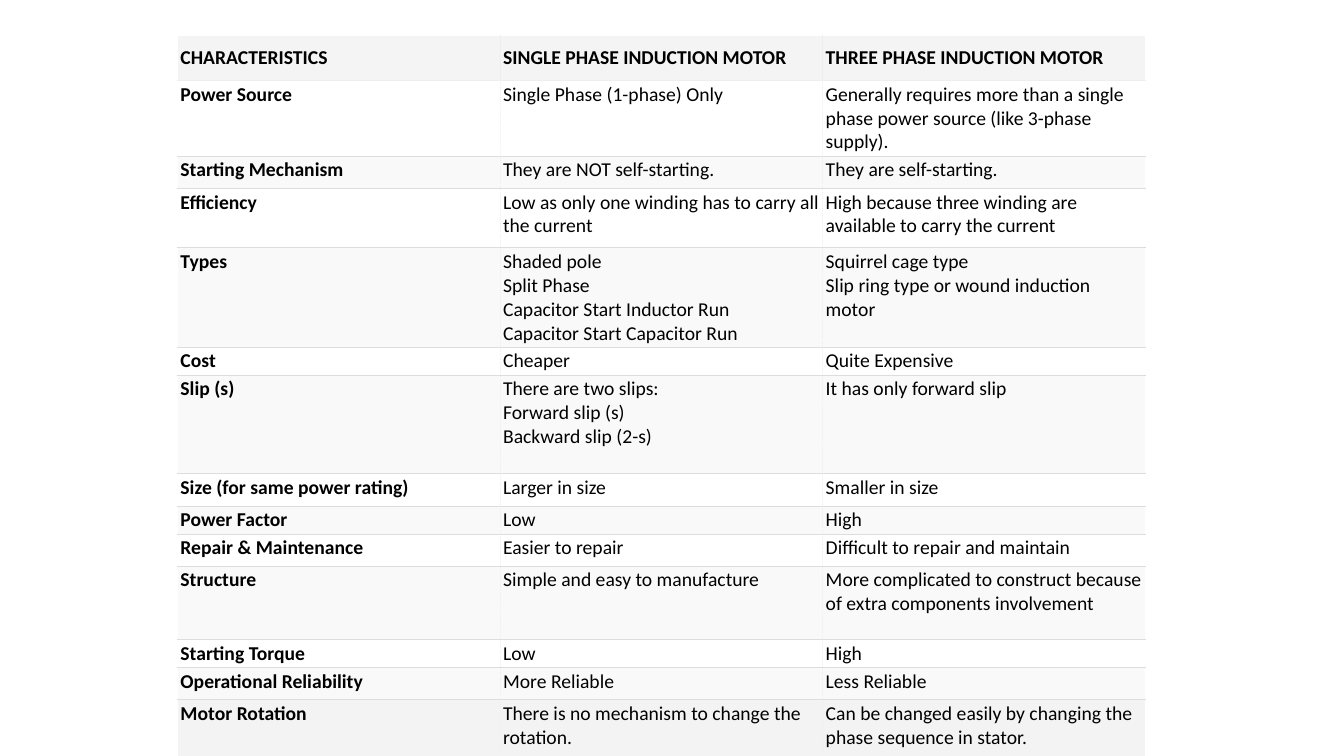
from lxml import etree
from pptx import Presentation
from pptx.dml.color import RGBColor
from pptx.enum.text import MSO_ANCHOR
from pptx.oxml.ns import qn
from pptx.util import Inches, Pt

TOP, MIDDLE = MSO_ANCHOR.TOP, MSO_ANCHOR.MIDDLE

BLACK = RGBColor(0x00, 0x00, 0x00)
WHITE = RGBColor(0xFF, 0xFF, 0xFF)
HEADER_FILL = RGBColor(0xF4, 0xF4, 0xF4)
BAND_FILL = RGBColor(0xF9, 0xF9, 0xF9)
LAST_ROW_FILL = RGBColor(0xF3, 0xF3, 0xF3)
LIGHT_LINE = RGBColor(0xEE, 0xEE, 0xEE)
ROW_LINE = RGBColor(0xDD, 0xDD, 0xDD)

FONT_NAME = "Calibri"
FONT_SIZE = Pt(14)
BORDER_WIDTH = Pt(0.75)
COLUMN_WIDTH = 3.2

# Row height in inches, then the text of each column
ROWS = [
    (0.45, "CHARACTERISTICS", "SINGLE PHASE INDUCTION MOTOR",
     "THREE PHASE INDUCTION MOTOR"),
    (0.73, "Power Source", "Single Phase (1-phase) Only",
     "Generally requires more than a single phase power source (like 3-phase supply)."),
    (0.32, "Starting Mechanism", "They are NOT self-starting.",
     "They are self-starting."),
    (0.59, "Efficiency", "Low as only one winding has to carry all the current",
     "High because three winding are available to carry the current"),
    (0.86, "Types",
     "Shaded pole\nSplit Phase\nCapacitor Start Inductor Run\nCapacitor Start Capacitor Run",
     "Squirrel cage type\nSlip ring type or wound induction motor"),
    (0.18, "Cost", "Cheaper", "Quite Expensive"),
    (0.98, "Slip (s)", "There are two slips:\nForward slip (s)\nBackward slip (2-s)",
     "It has only forward slip"),
    (0.32, "Size (for same power rating)", "Larger in size", "Smaller in size"),
    (0.18, "Power Factor", "Low", "High"),
    (0.32, "Repair & Maintenance", "Easier to repair",
     "Difficult to repair and maintain"),
    (0.73, "Structure", "Simple and easy to manufacture",
     "More complicated to construct because of extra components involvement"),
    (0.18, "Starting Torque", "Low", "High"),
    (0.32, "Operational Reliability", "More Reliable", "Less Reliable"),
    (0.59, "Motor Rotation", "There is no mechanism to change the rotation.",
     "Can be changed easily by changing the phase sequence in stator."),
]
LAST_ROW = len(ROWS) - 1
LAST_COLUMN = 2


def add_border(cell, side, color, dash="solid"):
    """Draw one side (L, R, T or B) of a cell; call in that order, before the fill."""
    properties = cell._tc.get_or_add_tcPr()
    line = etree.SubElement(properties, qn(f"a:ln{side}"), w=str(BORDER_WIDTH))
    fill = etree.SubElement(line, qn("a:solidFill"))
    etree.SubElement(fill, qn("a:srgbClr"), val=str(color))
    etree.SubElement(line, qn("a:prstDash"), val=dash)


def row_line_color(row):
    """Colour of the line below a row."""
    return LIGHT_LINE if row in (0, LAST_ROW) else ROW_LINE


def add_borders(cell, row, column):
    column_dash = "solid" if row == 0 else "dot"
    if column > 0:
        add_border(cell, "L", LIGHT_LINE, column_dash)
    if column < LAST_COLUMN:
        add_border(cell, "R", LIGHT_LINE, column_dash)
    if row > 0:
        add_border(cell, "T", row_line_color(row - 1))
    add_border(cell, "B", row_line_color(row))


def row_fill(row):
    if row == 0:
        return HEADER_FILL
    if row == LAST_ROW:
        return LAST_ROW_FILL
    return WHITE if row % 2 else BAND_FILL


def write_text(cell, text, bold):
    paragraph = cell.text_frame.paragraphs[0]
    for index, line in enumerate(text.split("\n")):
        if index:
            paragraph.add_line_break()
        run = paragraph.add_run()
        run.text = line
        run.font.name = FONT_NAME
        run.font.size = FONT_SIZE
        run.font.bold = bold
        run.font.color.rgb = BLACK


def format_cell(cell, row, column):
    cell.margin_left = cell.margin_right = Inches(0.03)
    cell.margin_top = cell.margin_bottom = Inches(0.02)
    cell.vertical_anchor = MIDDLE if row == 0 else TOP
    add_borders(cell, row, column)
    cell.fill.solid()
    cell.fill.fore_color.rgb = row_fill(row)


def add_comparison_table(slide):
    column_count = LAST_COLUMN + 1
    height = sum(row[0] for row in ROWS)
    frame = slide.shapes.add_table(
        len(ROWS), column_count, Inches(1.76), Inches(0.35),
        Inches(COLUMN_WIDTH * column_count), Inches(height))
    table = frame.table
    table.first_row = False
    table.horz_banding = False
    for table_column in table.columns:
        table_column.width = Inches(COLUMN_WIDTH)
    for row, (row_height, *texts) in enumerate(ROWS):
        table.rows[row].height = Inches(row_height)
        for column, text in enumerate(texts):
            cell = table.cell(row, column)
            format_cell(cell, row, column)
            write_text(cell, text, bold=row == 0 or column == 0)


def main():
    presentation = Presentation()
    presentation.slide_width = Inches(13.33)
    presentation.slide_height = Inches(7.5)
    slide = presentation.slides.add_slide(presentation.slide_layouts[6])
    add_comparison_table(slide)
    presentation.save("out.pptx")


if __name__ == "__main__":
    main()
